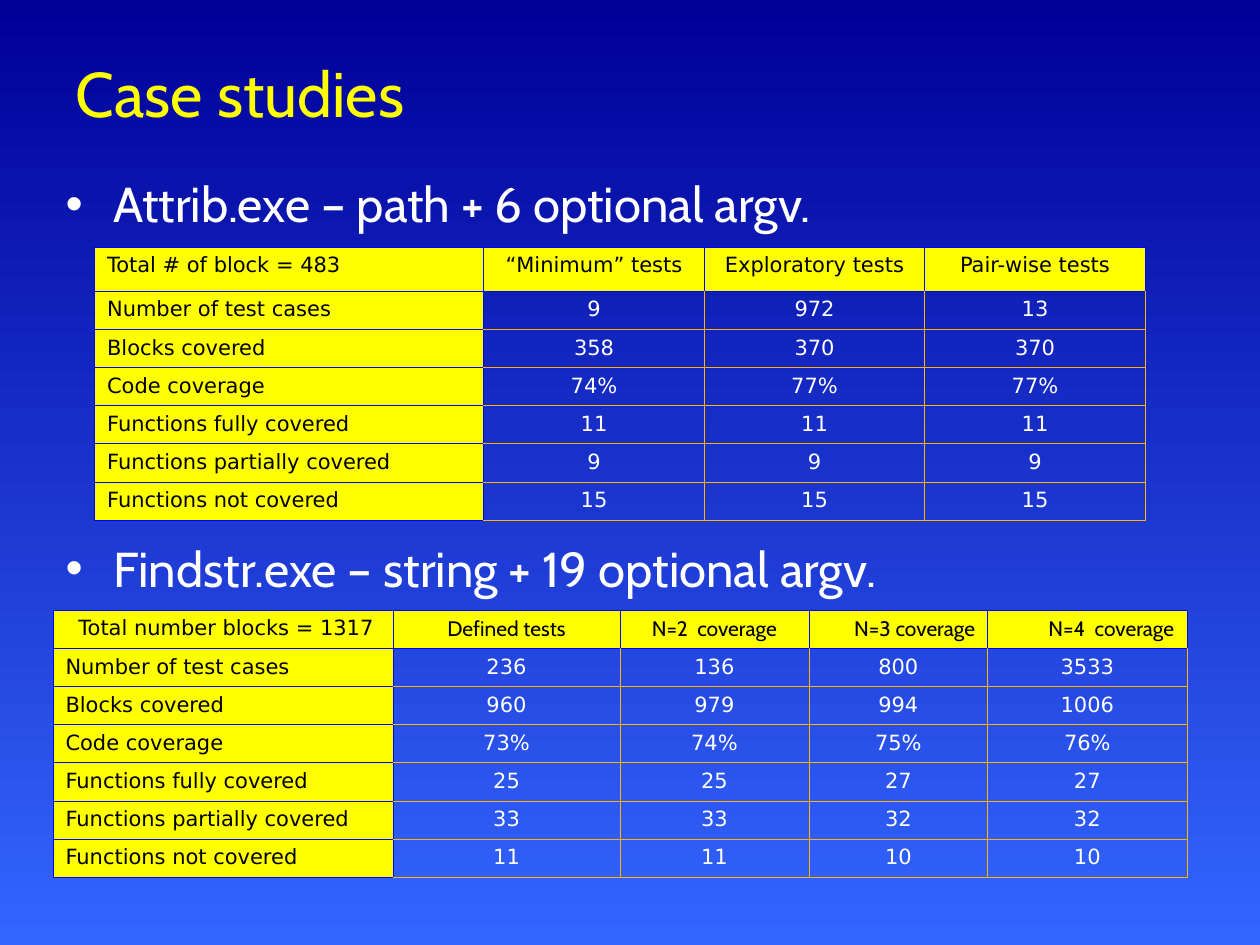
from lxml import etree
from pptx import Presentation
from pptx.dml.color import RGBColor
from pptx.enum.text import MSO_ANCHOR, MSO_AUTO_SIZE, PP_ALIGN
from pptx.oxml.ns import qn
from pptx.util import Inches, Pt

LEFT, CENTER, RIGHT, JUSTIFY = PP_ALIGN.LEFT, PP_ALIGN.CENTER, PP_ALIGN.RIGHT, PP_ALIGN.JUSTIFY
MIDDLE, TOP = MSO_ANCHOR.MIDDLE, MSO_ANCHOR.TOP
NO_FIT = MSO_AUTO_SIZE.NONE

YELLOW, WHITE, BLACK = "FFFF00", "FFFFFF", "000000"
BLUE, ORANGE = "0000FF", "FFB601"
BACKGROUND = ("000099", "3366FF")
SANS, TABLE_FONT = "Cabin", "DejaVu Sans"

TITLE = "Case studies"
BULLETS = [
    ("Attrib.exe – path + 6 optional argv.", 0),
    ("Findstr.exe – string + 19 optional argv.", 174.5),
]
MEASURES = [
    "Number of test cases",
    "Blocks covered",
    "Code coverage",
    "Functions fully covered",
    "Functions partially covered",
    "Functions not covered",
]
TABLES = [
    {
        "at": (0.75, 1.96, 8.33, 2.17),
        "header_height": 0.35,
        "widths": [3.09, 1.75, 1.75, 1.75],
        "header": ["Total # of block = 483 ", "“Minimum” tests", "Exploratory tests", "Pair-wise tests"],
        "header_align": [LEFT, CENTER, CENTER, CENTER],
        "header_font": TABLE_FONT,
        "values": [
            ["9", "972", "13"],
            ["358", "370", "370"],
            ["74%", "77%", "77%"],
            ["11", "11", "11"],
            ["9", "9", "9"],
            ["15", "15", "15"],
        ],
    },
    {
        "at": (0.42, 4.84, 9, 2.12),
        "header_height": 0.3,
        "widths": [2.7, 1.8, 1.5, 1.42, 1.58],
        "header": ["Total number blocks = 1317 ", "Defined tests", "N=2  coverage", "N=3 coverage", "N=4  coverage"],
        "header_align": [RIGHT, CENTER, CENTER, RIGHT, RIGHT],
        "header_font": SANS,
        "values": [
            ["236", "136", "800", "3533"],
            ["960", "979", "994", "1006"],
            ["73%", "74%", "75%", "76%"],
            ["25", "25", "27", "27"],
            ["33", "33", "32", "32"],
            ["11", "11", "10", "10"],
        ],
    },
]


def rgb(value):
    """Return the colour for a hex string."""
    return RGBColor.from_string(value)


def style(p, size, font, color, align):
    """Format a paragraph and its runs."""
    p.alignment = align
    for r in p.runs:
        r.font.size = Pt(size)
        r.font.name = font
        r.font.bold = False
        r.font.color.rgb = rgb(color)


def place(sp, at, anchor):
    """Move a placeholder and set its text frame."""
    sp.left, sp.top, sp.width, sp.height = map(Inches, at)
    tf = sp.text_frame
    tf.word_wrap = True
    tf.auto_size = NO_FIT
    tf.vertical_anchor = anchor
    return tf


def add_bullet(p):
    """Give a paragraph a hanging white bullet."""
    pPr = p._p.get_or_add_pPr()
    pPr.set("marL", str(Inches(0.38)))
    pPr.set("indent", str(-Inches(0.38)))
    color = etree.SubElement(pPr, qn("a:buClr"))
    etree.SubElement(color, qn("a:srgbClr"), val=WHITE)
    etree.SubElement(pPr, qn("a:buChar"), char="•")


def set_borders(cell, left, top, right, bottom):
    """Draw the four thin borders of a cell."""
    tcPr = cell._tc.get_or_add_tcPr()
    edges = zip("LRTB", (left, right, top, bottom))
    for i, (side, color) in enumerate(edges):
        ln = etree.Element(qn(f"a:ln{side}"), w=str(Pt(0.45)))
        fill = etree.SubElement(ln, qn("a:solidFill"))
        etree.SubElement(fill, qn("a:srgbClr"), val=color)
        tcPr.insert(i, ln)


def format_cell(cell, row, col, spec_font, align):
    """Format one cell by its place in the table."""
    p = cell.text_frame.paragraphs[0]
    if row == 0 or col == 0:
        cell.fill.solid()
        cell.fill.fore_color.rgb = rgb(YELLOW)
        style(p, 12, spec_font, BLACK, align)
        set_borders(cell, BLUE, BLUE, BLUE, BLUE)
    else:
        cell.fill.background()
        style(p, 12, spec_font, WHITE, align)
        set_borders(cell, BLUE if col == 1 else ORANGE, BLUE if row == 1 else ORANGE, ORANGE, ORANGE)


def add_results(s, data):
    """Add one table of test results."""
    rows = [data["header"]] + [[m] + v for m, v in zip(MEASURES, data["values"])]
    table = s.shapes.add_table(len(rows), len(data["widths"]), *map(Inches, data["at"])).table
    table.first_row = table.horz_banding = False
    for column, width in zip(table.columns, data["widths"]):
        column.width = Inches(width)
    row_height = (data["at"][3] - data["header_height"]) / len(MEASURES)
    for i, texts in enumerate(rows):
        table.rows[i].height = Inches(row_height if i else data["header_height"])
        for j, text in enumerate(texts):
            cell = table.cell(i, j)
            cell.text_frame.text = text
            if i == 0:
                align = data["header_align"][j]
            else:
                align = CENTER if j else JUSTIFY
            font = data["header_font"] if i == 0 and j else TABLE_FONT
            format_cell(cell, i, j, font, align)


def main():
    """Build the slide and save it."""
    prs = Presentation()
    prs.slide_width, prs.slide_height = Inches(10), Inches(7.5)
    s = prs.slides.add_slide(prs.slide_layouts[1])

    fill = s.background.fill
    fill.gradient()
    fill.gradient_angle = 270
    for stop, color, position in zip(fill.gradient_stops, BACKGROUND, (0, 1)):
        stop.color.rgb = rgb(color)
        stop.position = position

    tf = place(s.shapes.title, (0.5, 0.3, 9, 0.87), MIDDLE)
    tf.text = TITLE
    style(tf.paragraphs[0], 36, SANS, YELLOW, LEFT)

    tf = place(s.placeholders[1], (0.42, 1.33, 9.2, 3.74), TOP)
    tf.text = "\n".join(text for text, _ in BULLETS)
    for p, (_, space) in zip(tf.paragraphs, BULLETS):
        add_bullet(p)
        p.space_before = Pt(space)
        style(p, 28, SANS, WHITE, LEFT)

    for data in TABLES:
        add_results(s, data)
    prs.save("out.pptx")


if __name__ == "__main__":
    main()
